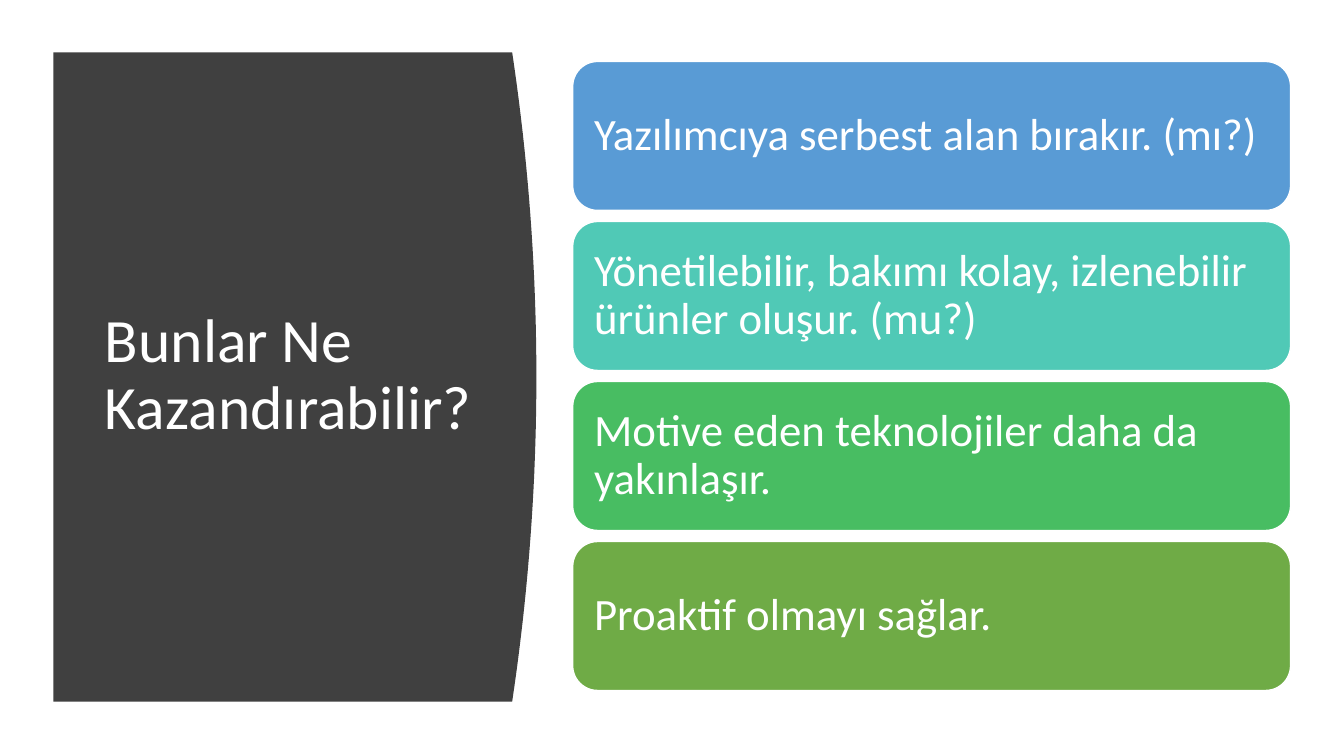
from pptx import Presentation
from pptx.dml.color import RGBColor
from pptx.enum.shapes import MSO_SHAPE as Shape
from pptx.enum.text import MSO_ANCHOR as Anchor, MSO_AUTO_SIZE as Fit, PP_ALIGN as Align
from pptx.util import Inches, Pt

WHITE = RGBColor(0xFF, 0xFF, 0xFF)
DARK = RGBColor(0x40, 0x40, 0x40)
BLUE = RGBColor(0x59, 0x9B, 0xD5)
TEAL = RGBColor(0x50, 0xC9, 0xB6)
GREEN = RGBColor(0x48, 0xBD, 0x62)
OLIVE = RGBColor(0x6F, 0xAB, 0x46)

TITLE = "Bunlar Ne Kazandırabilir?"
GAINS = [
    ("Yazılımcıya serbest alan bırakır. (mı?)", BLUE),
    ("Yönetilebilir, bakımı kolay, izlenebilir ürünler oluşur. (mu?)", TEAL),
    ("Motive eden teknolojiler daha da yakınlaşır.", GREEN),
    ("Proaktif olmayı sağlar.", OLIVE),
]


def write(shape, text, size):
    """Put left-aligned white text in the vertical middle of a shape."""
    frame = shape.text_frame
    frame.text = text
    frame.word_wrap = True
    frame.auto_size = Fit.NONE
    frame.vertical_anchor = Anchor.MIDDLE
    para = frame.paragraphs[0]
    para.alignment = Align.LEFT
    para.line_spacing = 0.9
    para.font.name = "Calibri"
    para.font.size = Pt(size)
    para.font.color.rgb = WHITE


def add_panel(slide, left, top, width, height):
    """Draw the dark panel with its bowed right edge and the title on it."""
    bulge, steps = 0.24, 40
    edge = []
    for step in range(steps + 1):
        part = step / steps
        bow = bulge * (2 * part - 1) ** 2
        edge.append((Inches(left + width - bow), Inches(top + height * part)))
    pen = slide.shapes.build_freeform(Inches(left), Inches(top))
    pen.add_line_segments(edge + [(Inches(left), Inches(top + height))], close=True)
    panel = pen.convert_to_shape()
    panel.shadow.inherit = False
    panel.fill.solid()
    panel.fill.fore_color.rgb = DARK
    panel.line.fill.background()

    title = slide.shapes.title
    title.element.addprevious(panel.element)
    title.left, title.top = Inches(left + 0.41), Inches(top + 0.59)
    title.width, title.height = Inches(width - 0.88), Inches(height - 1.2)
    write(title, TITLE, 44)


def add_cards(slide, left, top, width, height):
    """Stack one rounded card for each gain, evenly spaced in the box."""
    gap = 0.11
    tall = (height - gap * (len(GAINS) - 1)) / len(GAINS)
    for row, (text, color) in enumerate(GAINS):
        card = slide.shapes.add_shape(
            Shape.ROUNDED_RECTANGLE, Inches(left), Inches(top + row * (tall + gap)),
            Inches(width), Inches(tall))
        card.adjustments[0] = 0.167
        card.shadow.inherit = False
        card.fill.solid()
        card.fill.fore_color.rgb = color
        card.line.color.rgb = WHITE
        card.line.width = Pt(1)
        frame = card.text_frame
        frame.margin_left = frame.margin_right = Inches(0.14)
        frame.margin_top = frame.margin_bottom = Inches(0.14)
        write(card, text, 32)


def main():
    """Build the slide and save it."""
    deck = Presentation()
    deck.slide_width, deck.slide_height = Inches(13.33), Inches(7.5)
    slide = deck.slides.add_slide(deck.slide_layouts[5])
    add_panel(slide, 0.53, 0.52, 4.79, 6.44)
    add_cards(slide, 5.68, 0.61, 7.12, 6.24)
    deck.save("out.pptx")


if __name__ == "__main__":
    main()
